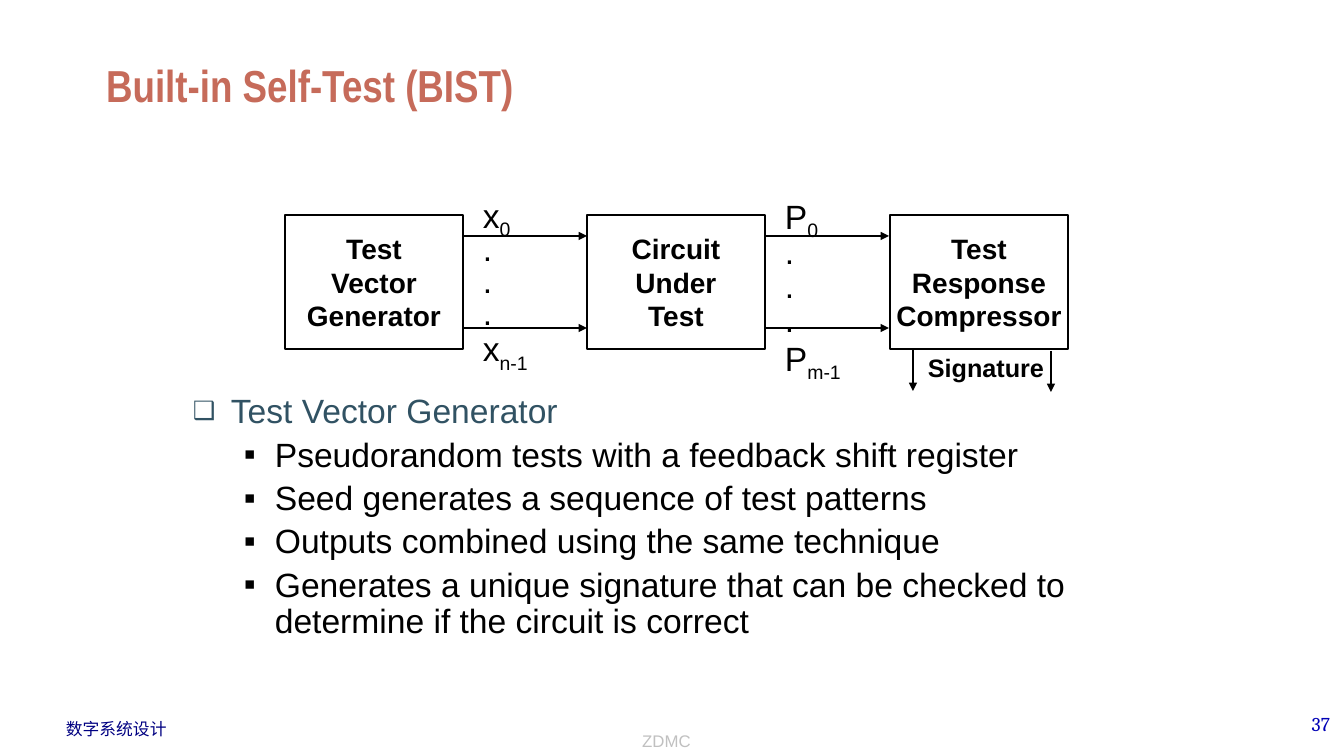
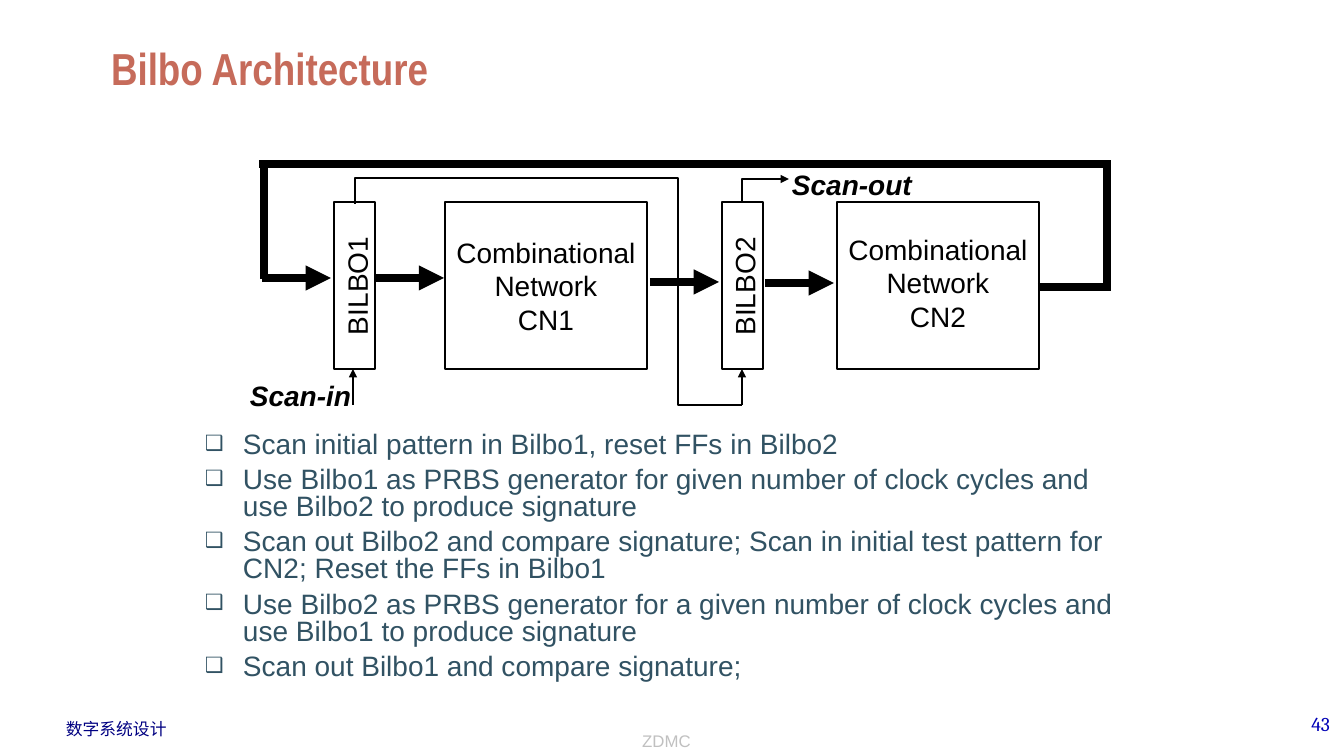
from lxml.etree import SubElement
from pptx import Presentation
from pptx.dml.color import RGBColor
from pptx.enum.shapes import MSO_CONNECTOR as Link, MSO_SHAPE as Shape
from pptx.enum.text import MSO_ANCHOR as Anchor, MSO_AUTO_SIZE as Auto, PP_ALIGN as Align
from pptx.oxml import parse_xml
from pptx.oxml.ns import nsdecls, qn
from pptx.util import Emu, Pt

BLACK = RGBColor(0x00, 0x00, 0x00)
RUST = RGBColor(0xC6, 0x6B, 0x5A)
TEAL = RGBColor(0x31, 0x52, 0x63)
NAVY = RGBColor(0x00, 0x00, 0x82)
BLUE = RGBColor(0x00, 0x00, 0xB6)
GREY = RGBColor(0xC0, 0xC0, 0xC0)
PX = 914400 / 100.8


def write(shape, lines, size, color=BLACK, name="Arial", bold=False, italic=False,
          align=Align.LEFT, anchor=Anchor.TOP, wrap=False, grow=False, pitch=None):
    """Fill a shape with lines; an underscore starts a subscript."""
    frame = shape.text_frame
    frame.word_wrap = wrap
    frame.auto_size = Auto.SHAPE_TO_FIT_TEXT if grow else Auto.NONE
    frame.vertical_anchor = anchor
    for i, line in enumerate(lines):
        para = frame.add_paragraph() if i else frame.paragraphs[0]
        para.alignment = align
        para.line_spacing = pitch
        font = para.font
        font.name, font.size, font.bold, font.italic = name, Pt(size), bold, italic
        font.color.rgb = color
        base, _, sub = line.partition("_")
        para.add_run().text = base
        if sub:
            run = para.add_run()
            run.text = sub
            run._r.get_or_add_rPr().set("baseline", "-25000")
    return frame


def stroke(slide, points, width=1, arrow=True):
    """Draw a connector through two points, or an open outline through more."""
    first, *rest = points
    if len(rest) == 1:
        ends = [Emu(round(v * PX)) for v in first + rest[0]]
        shape = slide.shapes.add_connector(Link.STRAIGHT, *ends)
    else:
        pen = slide.shapes.build_freeform(*first, scale=PX)
        pen.add_line_segments(rest, close=False)
        shape = pen.convert_to_shape()
        shape.fill.background()
    shape.line.color.rgb = BLACK
    shape.line.width = Pt(width)
    props = shape._element.spPr
    if arrow:
        SubElement(props.find(qn("a:ln")), qn("a:tailEnd"), type="triangle")
    SubElement(props, qn("a:effectLst"))


deck = Presentation()
deck.slide_width, deck.slide_height = Emu(round(1344 * PX)), Emu(round(756 * PX))

# Titles and footers
pages = []
for text, num, x, y in [("Built-in Self-Test (BIST)", "37", 96, 42),
                        ("Bilbo Architecture", "43", 101, 25)]:
    slide = deck.slides.add_slide(deck.slide_layouts[5])
    pages.append(slide)
    title = slide.shapes.title
    title.left, title.top, title.width, title.height = [
        Emu(round(v * PX)) for v in (x, y, 1142, 75)]
    write(title, [text], 32, RUST, "Arial Narrow", bold=True, anchor=Anchor.BOTTOM, wrap=True)
    for area, note, size, color, name, align, anchor in [
        ((56, 714, 122, 30), "数字系统设计", 12, NAVY, "Arial", Align.LEFT, Anchor.TOP),
        ((1060, 707, 280, 50), num, 14, BLUE, "Cambria", Align.RIGHT, Anchor.TOP),
        ((339, 705, 655, 51), "ZDMC", 12, GREY, "Arial", Align.CENTER, Anchor.BOTTOM),
    ]:
        box = slide.shapes.add_textbox(*[Emu(round(v * PX)) for v in area])
        write(box, [note], size, color, name, align=align, anchor=anchor, wrap=True)
bist, bilbo = pages

# Bulleted text
for slide, area, size, pitch, gap, lines in [
    (bist, (183, 390, 927, 311), 24, 0.9, 5, [
        (0, "Test Vector Generator"),
        (1, "Pseudorandom tests with a feedback shift register"),
        (1, "Seed generates a sequence of test patterns"),
        (1, "Outputs combined using the same technique"),
        (1, "Generates a unique signature that can be checked to "
            "determine if the circuit is correct")]),
    (bilbo, (195, 428, 942, 304), 20, 0.8, 6, [
        (0, "Scan initial pattern in Bilbo1, reset FFs in Bilbo2"),
        (0, "Use Bilbo1 as PRBS generator for given number of clock cycles and "
            "use Bilbo2 to produce signature"),
        (0, "Scan out Bilbo2 and compare signature; Scan in initial test pattern for "
            "CN2; Reset the FFs in Bilbo1"),
        (0, "Use Bilbo2 as PRBS generator for a given number of clock cycles and "
            "use Bilbo1 to produce signature"),
        (0, "Scan out Bilbo1 and compare signature;")]),
]:
    body = slide.shapes.add_textbox(*[Emu(round(v * PX)) for v in area])
    frame = write(body, [text for _, text in lines], size, wrap=True, pitch=pitch)
    for para, (level, _) in zip(frame.paragraphs, lines):
        left, hang, mark, scale, color = [(38, 38, "❑", 75, TEAL),
                                          (82, 31, "▪", 100, BLACK)][level]
        para.level = level
        para.space_before = Pt(gap)
        para.font.color.rgb = color
        props = para._p.get_or_add_pPr()
        props.set("marL", str(round(left * PX)))
        props.set("indent", str(round(-hang * PX)))
        for tag in (f'<a:buClr {nsdecls("a")}><a:srgbClr val="{color}"/></a:buClr>',
                    f'<a:buSzPct {nsdecls("a")} val="{scale * 1000}"/>',
                    f'<a:buFont {nsdecls("a")} typeface="Arial"/>',
                    f'<a:buChar {nsdecls("a")} char="{mark}"/>'):
            props.find(qn("a:defRPr")).addprevious(parse_xml(tag))

# Blocks of both diagrams; lift is the extra bottom margin
for slide, area, lines, bold, lift in [
    (bist, (285, 215, 178, 134), ["Test", "Vector", "Generator"], True, 0),
    (bist, (587, 215, 178, 134), ["Circuit", "Under", "Test"], True, 0),
    (bist, (890, 215, 178, 134), ["Test", "Response", "Compressor"], True, 0),
    (bilbo, (334, 202, 41, 167), [], False, 0),
    (bilbo, (445, 202, 202, 167), ["Combinational", "Network", "CN1"], False, 0),
    (bilbo, (722, 202, 41, 167), [], False, 0),
    (bilbo, (837, 202, 202, 167), ["Combinational", "Network", "CN2"], False, 6),
]:
    block = slide.shapes.add_shape(Shape.RECTANGLE, *[Emu(round(v * PX)) for v in area])
    block.shadow.inherit = False
    block.fill.background()
    block.line.color.rgb = BLACK
    block.line.width = Pt(1)
    frame = write(block, lines, 20, bold=bold, align=Align.CENTER, anchor=Anchor.MIDDLE)
    frame.margin_bottom = Emu(round((5 + lift) * PX))

# Labels of both diagrams
for slide, area, lines, size, bold, italic, pitch, turn in [
    (bist, (473, 194, 72, 173), ["x_0", ".", ".", ".", "x_n-1"], 24, False, False, 0.8, 0),
    (bist, (775, 193, 82, 183), ["P_0", ".", ".", ".", "P_m-1"], 24, False, False, 0.85, 0),
    (bist, (918, 347, 137, 40), ["Signature"], 18, True, False, None, 0),
    (bilbo, (296, 262, 122, 44), ["BILBO1"], 20, False, False, None, 270),
    (bilbo, (685, 264, 119, 44), ["BILBO2"], 20, False, False, None, 270),
    (bilbo, (240, 374, 122, 44), ["Scan-in"], 20, True, True, None, 0),
    (bilbo, (782, 163, 141, 44), ["Scan-out"], 20, True, True, None, 0),
]:
    label = slide.shapes.add_textbox(*[Emu(round(v * PX)) for v in area])
    label.rotation = turn
    write(label, lines, size, bold=bold, italic=italic, grow=True, pitch=pitch)

# Signal arrows of the self-test
for x in (464, 766):
    for y in (236, 328):
        stroke(bist, [(x, y), (x + 123, y)])
for x, y in [(913, 350), (1051, 351)]:
    stroke(bist, [(x, y), (x, y + 41)])

# Data path and its feedback loop
for x, y in [(262, 278), (375, 278), (650, 282), (765, 283)]:
    stroke(bilbo, [(x, y), (x + 69, y)], width=6)
for ends in [[(1038, 287), (1107, 287)], [(1107, 291), (1107, 164)],
             [(1111, 164), (259, 164)], [(264, 279), (264, 161)]]:
    stroke(bilbo, ends, width=6, arrow=False)

# Scan chain
for x in (353, 742):
    stroke(bilbo, [(x, 405), (x, 369)])
stroke(bilbo, [(355, 204), (355, 178), (678, 178), (678, 405), (742, 405)], arrow=False)
stroke(bilbo, [(742, 202), (742, 179), (789, 179)])

deck.save("out.pptx")
